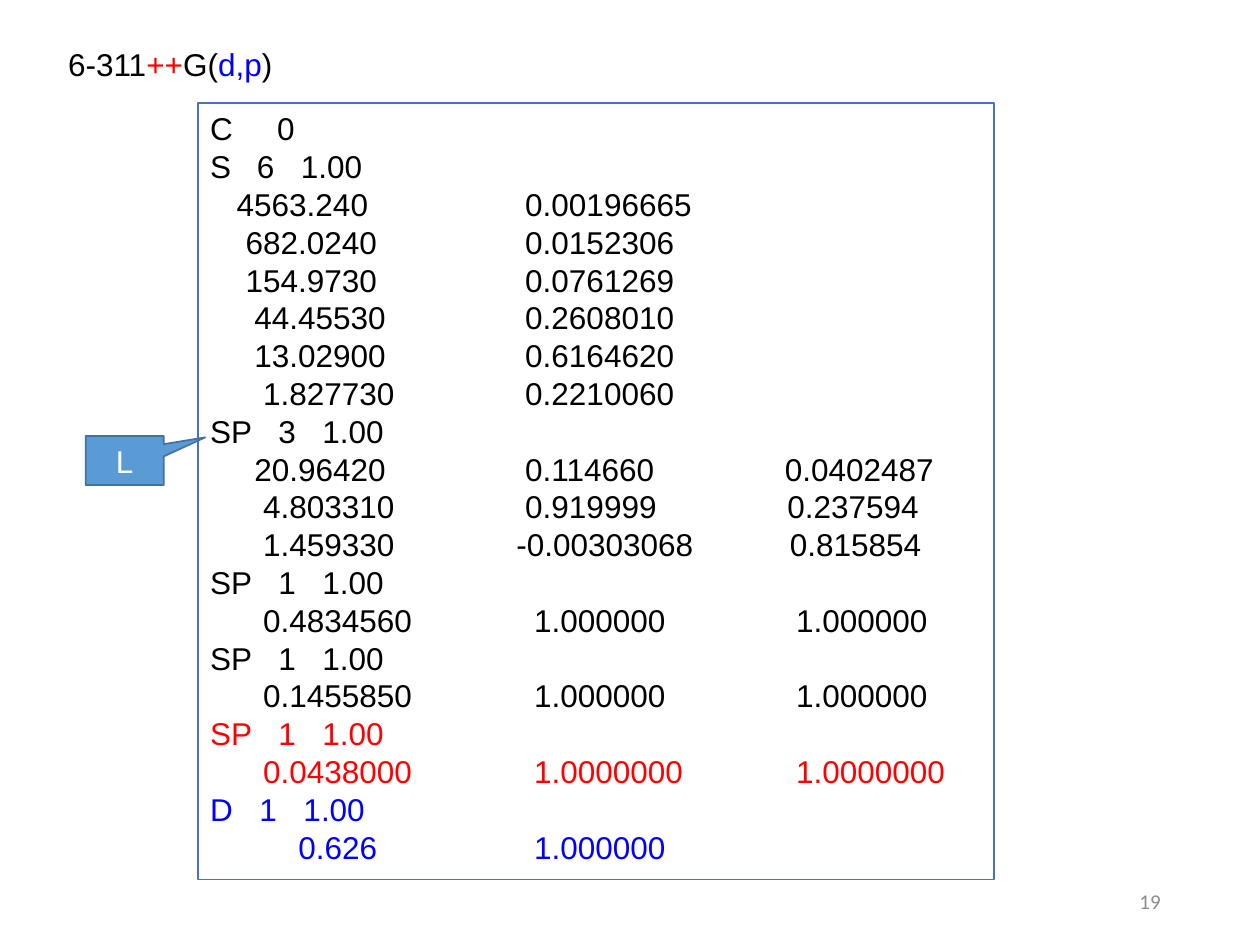
"""Build a slide that lists the 6-311++G(d,p) basis set for carbon."""
from typing import NamedTuple

from lxml import etree
from pptx import Presentation
from pptx import util as u
from pptx.dml import color
from pptx.enum import shapes, text
from pptx.oxml import ns

BLACK, RED, BLUE, WHITE = "000000", "FF0000", "0000FF", "FFFFFF"


class Box(NamedTuple):
    left: float
    top: float
    width: float
    height: float


class Row(NamedTuple):
    label: str
    stops: tuple
    cells: tuple
    ink: str = BLACK


def head(label: str, first: float, *cells: str, ink: str = BLACK) -> Row:
    return Row(label, (first, first + 0.35), cells, ink)


def data(indent: int, stops: tuple, *cells: str, ink: str = BLACK) -> Row:
    return Row("", (indent * 0.07, *stops), cells, ink)


ROWS = [
    head("C", 0.53, "0"),
    head("S", 0.37, "6", "1.00"),
    data(3, (2.5,), "4563.240", "0.00196665"),
    data(4, (2.5,), "682.0240", "0.0152306"),
    data(4, (2.5,), "154.9730", "0.0761269"),
    data(5, (2.5,), "44.45530", "0.2608010"),
    data(5, (2.5,), "13.02900", "0.6164620"),
    data(6, (2.5,), "1.827730", "0.2210060"),
    head("SP", 0.54, "3", "1.00"),
    data(5, (2.5, 4.56), "20.96420", "0.114660", "0.0402487"),
    data(6, (2.5, 4.58), "4.803310", "0.919999", "0.237594"),
    data(6, (2.43, 4.6), "1.459330", "-0.00303068", "0.815854"),
    head("SP", 0.54, "1", "1.00"),
    data(6, (2.57, 4.65), "0.4834560", "1.000000", "1.000000"),
    head("SP", 0.54, "1", "1.00"),
    data(6, (2.57, 4.65), "0.1455850", "1.000000", "1.000000"),
    head("SP", 0.54, "1", "1.00", ink=RED),
    data(6, (2.57, 4.65), "0.0438000", "1.0000000", "1.0000000", ink=RED),
    head("D", 0.39, "1", "1.00", ink=BLUE),
    data(10, (2.57,), "0.626", "1.000000", ink=BLUE),
]


def rgb(code: str) -> color.RGBColor:
    return color.RGBColor.from_string(code)


def style(run, ink: str, size: float = 18, face: str = "Arial") -> None:
    run.font.name, run.font.size = face, u.Pt(size)
    run.font.color.rgb = rgb(ink)


def place(shape, box: Box) -> None:
    shape.left, shape.top, shape.width, shape.height = map(u.Inches, box)


def draw(slide, kind, box: Box, fill: str, line: str):
    shape = slide.shapes.add_shape(kind, *map(u.Inches, box))
    shape.shadow.inherit = False
    shape.fill.solid()
    shape.fill.fore_color.rgb = rgb(fill)
    shape.line.color.rgb = rgb(line)
    shape.line.width = u.Pt(1)
    return shape


def set_tabs(para, stops: tuple) -> None:
    tabs = etree.SubElement(para._p.get_or_add_pPr(), ns.qn("a:tabLst"))
    for stop in stops:
        etree.SubElement(tabs, ns.qn("a:tab"), pos=str(u.Inches(stop)), algn="l")


def add_title(slide) -> None:
    title = slide.shapes.title
    place(title, Box(0.44, 0.31, 2.27, 0.4))
    frame = title.text_frame
    frame.auto_size = text.MSO_AUTO_SIZE.NONE
    frame.vertical_anchor = text.MSO_ANCHOR.TOP
    para = frame.paragraphs[0]
    para.alignment = text.PP_ALIGN.LEFT
    parts = [("6-311", BLACK), ("++", RED), ("G(", BLACK), ("d,p", BLUE), (")", BLACK)]
    for words, ink in parts:
        run = para.add_run()
        run.text = words
        style(run, ink)


def add_basis(slide) -> None:
    panel = draw(slide, shapes.MSO_SHAPE.RECTANGLE, Box(1.57, 0.82, 6.32, 6.16),
                 WHITE, "4472C4")
    frame = panel.text_frame
    frame.word_wrap = True
    frame.vertical_anchor = text.MSO_ANCHOR.TOP
    for num, row in enumerate(ROWS):
        para = frame.add_paragraph() if num else frame.paragraphs[0]
        para.text = "\t".join((row.label, *row.cells))
        para.alignment = text.PP_ALIGN.LEFT
        set_tabs(para, row.stops)
        for run in para.runs:
            style(run, row.ink)


def add_callout(slide) -> None:
    shape = draw(slide, shapes.MSO_SHAPE.RECTANGULAR_CALLOUT,
                 Box(0.68, 3.46, 0.62, 0.39), "5B9BD5", "43739E")
    shape.adjustments[0], shape.adjustments[1] = 1.03, -0.47
    frame = shape.text_frame
    frame.text = "L"
    frame.vertical_anchor = text.MSO_ANCHOR.MIDDLE
    frame.paragraphs[0].alignment = text.PP_ALIGN.CENTER
    style(frame.paragraphs[0].runs[0], WHITE)


def add_number(slide) -> None:
    box = Box(7.06, 6.95, 2.25, 0.4)
    frame = slide.shapes.add_textbox(*map(u.Inches, box)).text_frame
    frame.word_wrap = True
    frame.text = "19"
    frame.vertical_anchor = text.MSO_ANCHOR.MIDDLE
    frame.paragraphs[0].alignment = text.PP_ALIGN.RIGHT
    style(frame.paragraphs[0].runs[0], "8C8C8C", 12, "Calibri")


def main() -> None:
    deck = Presentation()
    deck.slide_width, deck.slide_height = u.Inches(10), u.Inches(7.5)
    slide = deck.slides.add_slide(deck.slide_layouts[5])
    add_basis(slide)
    add_callout(slide)
    add_title(slide)
    add_number(slide)
    deck.save("out.pptx")


if __name__ == "__main__":
    main()
